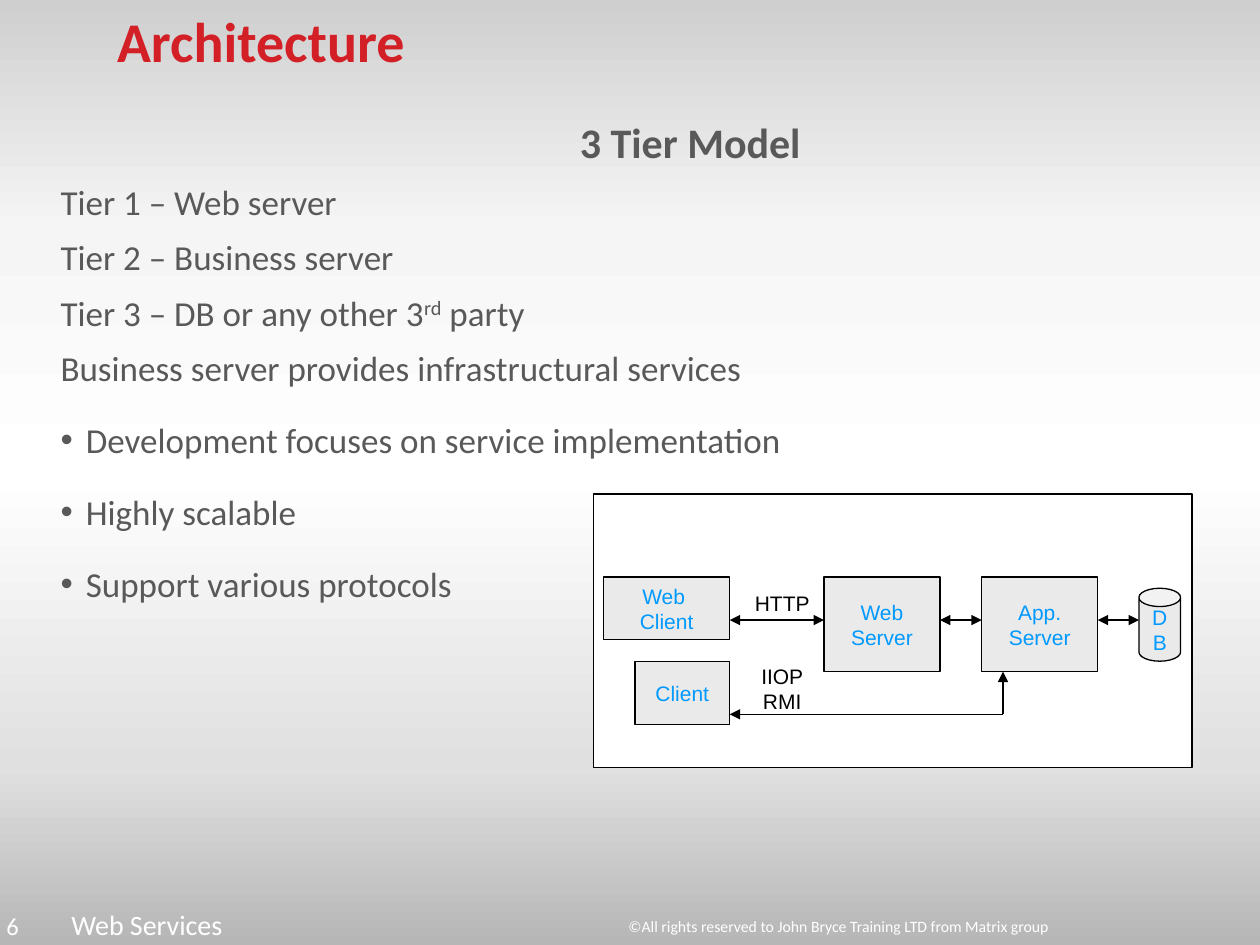
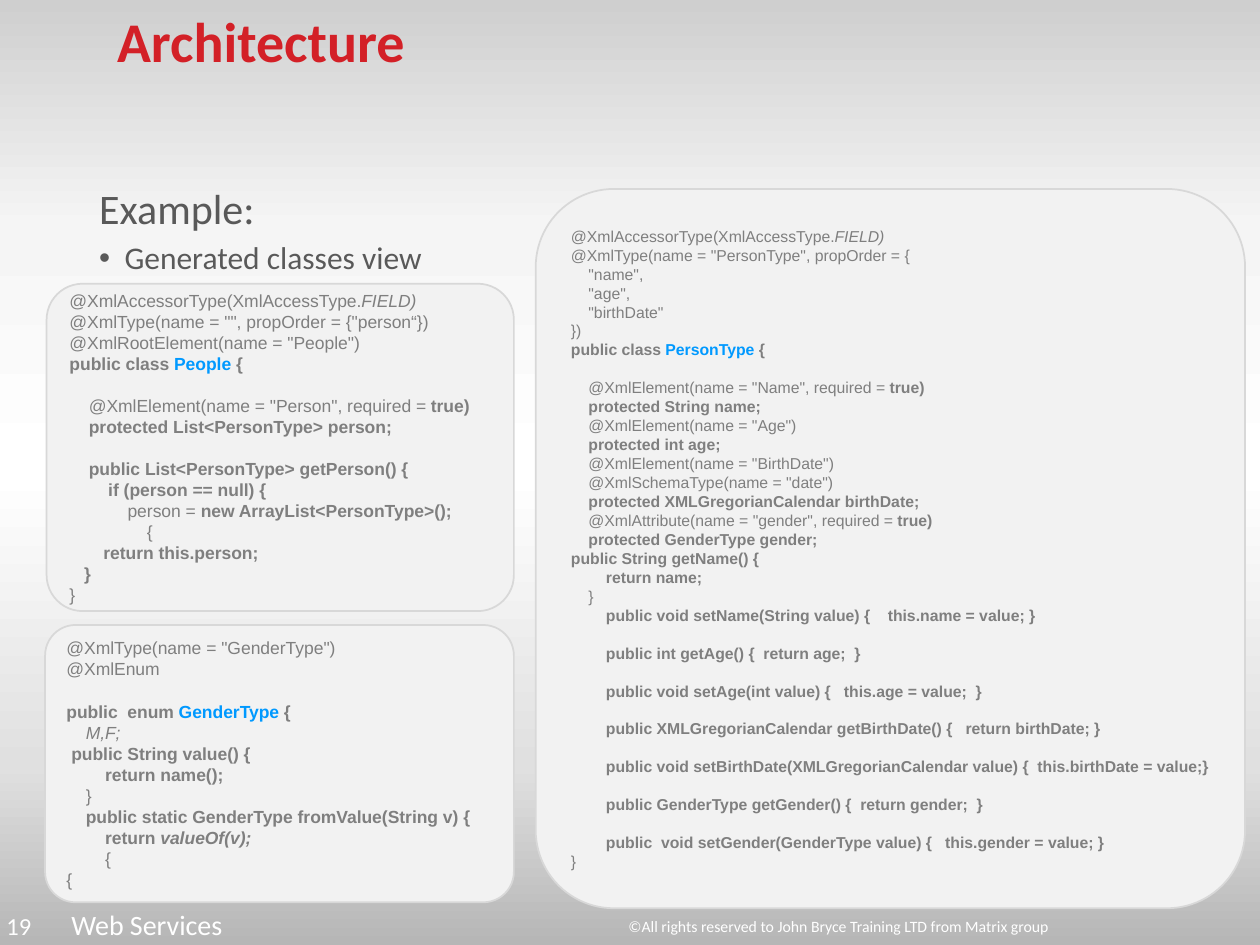
"""Build two slides on web service architecture: a three tier model and generated classes."""
import lxml.etree
import pptx
import pptx.dml.color
import pptx.enum.shapes
import pptx.enum.text
import pptx.oxml.ns
import pptx.util

Cm = pptx.util.Cm
Pt = pptx.util.Pt
qn = pptx.oxml.ns.qn
ALIGN = pptx.enum.text.PP_ALIGN
ANCHOR = pptx.enum.text.MSO_ANCHOR
SHAPE = pptx.enum.shapes.MSO_SHAPE

COLORS = {
    "title": "D32027", "body": "595959", "footer": "FFFFFF", "accent": "0099FF",
    "code": "7F7F7F", "code_fill": "F2F2F2", "code_line": "D8D8D8",
    "node": "EAEAEA", "panel": "FFFFFF", "line": "000000",
}
BACKGROUND_STOPS = {0: "CFCFCF", 24: "F5F5F5", 50: "FFFFFF", 81: "E0E0E0", 100: "B6B6B6"}
FRAME = {
    "word_wrap": True, "auto_size": pptx.enum.text.MSO_AUTO_SIZE.NONE,
    "margin_left": Cm(0.25), "margin_right": Cm(0.25),
    "margin_top": Cm(0.13), "margin_bottom": Cm(0.13),
}
TITLE_BOX = (2.11, -0.18, 21.89, 2.16)
BULLET_INDENT = Cm(0.51)

PEOPLE_CODE = """\
@XmlAccessorType(XmlAccessType.~FIELD)~
@XmlType(name = "", propOrder = {"person“})
@XmlRootElement(name = "People")
*public class ^People^ {*

    @XmlElement(name = "Person", required = *true)*
    *protected List<PersonType> person;*

    *public List<PersonType> getPerson() {*
        *if (person == null) {*
            person = *new ArrayList<PersonType>();*
                {
       *return this.person;*
   *}*
}"""
GENDER_CODE = """\
@XmlType(name = "GenderType")
@XmlEnum

*public  enum ^GenderType^ {*
    ~M,F;~
 *public String value() {*
        *return name();*
    }
    *public static GenderType fromValue(String v) {*
        *return ~valueOf(v);~*
        {
{"""
PERSON_FIELDS = """\
@XmlAccessorType(XmlAccessType.~FIELD)~
@XmlType(name = "PersonType", propOrder = {
    "name",
    "age",
    "birthDate"
})
*public class ^PersonType^ {*

    @XmlElement(name = "Name", required = *true)*
    *protected String name;*
    @XmlElement(name = "Age")
    *protected int age;*
    @XmlElement(name = "BirthDate")
    @XmlSchemaType(name = "date")
    *protected XMLGregorianCalendar birthDate;*
    @XmlAttribute(name = "gender", required = *true)*
    *protected GenderType gender;*"""
PERSON_METHODS = """\
*public String getName() {*
        *return name;*
    }
        *public void setName(String value) {    this.name = value; }*

        *public int getAge() {  return age;  }*

        *public void setAge(int value) {   this.age = value;  }*

        *public XMLGregorianCalendar getBirthDate() {   return birthDate; }*

        *public void setBirthDate(XMLGregorianCalendar value) {  this.birthDate = value;}*

        *public GenderType getGender() {  return gender;  }*

        *public  void setGender(GenderType value) {   this.gender = value; }*
}"""


def color(name):
    return pptx.dml.color.RGBColor.from_string(COLORS[name])


def apply_format(target, values):
    for name, value in values.items():
        setattr(target, name, value)


def place(shape, box):
    apply_format(shape, dict(zip(("left", "top", "width", "height"), map(Cm, box))))


def add_run(paragraph, text, size, color_name, font="Calibri", **values):
    run = paragraph.add_run()
    run.text = text
    apply_format(run.font, {"name": font, "size": Pt(size), "bold": False, **values})
    run.font.color.rgb = color(color_name)
    return run


def next_paragraph(frame):
    first = frame.paragraphs[0]
    return frame.add_paragraph() if first.runs else first


def add_lines(frame, lines, size, color_name, font="Calibri", **values):
    for line in lines:
        paragraph = next_paragraph(frame)
        apply_format(paragraph, values)
        add_run(paragraph, line, size, color_name, font)


def add_text_box(slide, box, lines, size, color_name, font="Calibri", frame_values=None, **values):
    frame = slide.shapes.add_textbox(*map(Cm, box)).text_frame
    apply_format(frame, {**FRAME, **(frame_values or {})})
    add_lines(frame, lines, size, color_name, font, **values)


def add_box(slide, kind, box, fill, line="line", line_width=0.75):
    shape = slide.shapes.add_shape(kind, *map(Cm, box))
    shape.shadow.inherit = False
    shape.fill.solid()
    shape.fill.fore_color.rgb = color(fill)
    shape.line.color.rgb = color(line)
    shape.line.width = Pt(line_width)
    apply_format(shape.text_frame, {**FRAME, "vertical_anchor": ANCHOR.MIDDLE})
    return shape


def add_node(slide, box, lines, kind=SHAPE.RECTANGLE):
    shape = add_box(slide, kind, box, "node")
    add_lines(shape.text_frame, lines, 12, "accent", "Arial", alignment=ALIGN.CENTER)
    return shape


def add_label(slide, box, lines):
    add_text_box(slide, box, lines, 12, "line", "Arial",
                 {"vertical_anchor": ANCHOR.MIDDLE}, alignment=ALIGN.CENTER)


def add_arrow(slide, start, end, ends=("headEnd", "tailEnd")):
    straight = pptx.enum.shapes.MSO_CONNECTOR.STRAIGHT
    connector = slide.shapes.add_connector(straight, *map(Cm, start + end))
    connector.line.color.rgb = color("line")
    connector.line.width = Pt(0.75)
    properties = connector._element.spPr
    for end_name in ends:
        lxml.etree.SubElement(properties.find(qn("a:ln")), qn(f"a:{end_name}"), type="triangle")
    lxml.etree.SubElement(properties, qn("a:effectLst"))


def add_code_line(paragraph, line, size):
    paragraph.alignment = ALIGN.LEFT
    if not line:
        lxml.etree.SubElement(paragraph._p, qn("a:endParaRPr"), sz=str(size * 100))
    active, text = set(), ""
    for character in line + "\n":
        if character not in "*~^\n":
            text += character
            continue
        if text:
            add_run(paragraph, text, size, "accent" if "^" in active else "code", "Arial",
                    bold="*" in active, italic="~" in active)
        active, text = active ^ {character}, ""


def add_code(slide, box, size, *blocks):
    shape = add_box(slide, SHAPE.ROUNDED_RECTANGLE, box, "code_fill", "code_line", 1)
    shape.adjustments[0] = 0.11
    shape.text_frame.margin_right = Cm(0.1)
    for block in blocks:
        for line in block.split("\n"):
            add_code_line(next_paragraph(shape.text_frame), line, size)


def add_body_paragraph(frame, text, size, indent=0, before=0, **values):
    paragraph = next_paragraph(frame)
    apply_format(paragraph, {"space_before": Pt(before), "line_spacing": 0.9})
    properties = paragraph._p.get_or_add_pPr()
    properties.set("marL", str(Cm(indent)))
    properties.set("indent", "0")
    lxml.etree.SubElement(properties, qn("a:buNone"))
    add_run(paragraph, text, size, "body", **values)
    return paragraph


def add_bullet(frame, text, size, spacing):
    paragraph = frame.add_paragraph()
    apply_format(paragraph, {"level": 1, "space_before": Pt(5), "line_spacing": spacing})
    properties = paragraph._p.get_or_add_pPr()
    properties.set("marL", str(BULLET_INDENT))
    properties.set("indent", str(-BULLET_INDENT))
    bullet_color = lxml.etree.SubElement(properties, qn("a:buClr"))
    lxml.etree.SubElement(bullet_color, qn("a:srgbClr"), val=COLORS["body"])
    lxml.etree.SubElement(properties, qn("a:buFont"), typeface="Arial")
    lxml.etree.SubElement(properties, qn("a:buChar"), char="•")
    add_run(paragraph, text, size, "body")


def set_background(master):
    fill = master.background.fill
    fill.gradient()
    fill.gradient_angle = 270
    stops = master.element.find(".//" + qn("p:bg")).find(".//" + qn("a:gsLst"))
    stops.clear()
    for position, value in BACKGROUND_STOPS.items():
        stop = lxml.etree.SubElement(stops, qn("a:gs"), pos=str(position * 1000))
        lxml.etree.SubElement(stop, qn("a:srgbClr"), val=value)


def add_slide(presentation, number, body_box):
    slide = presentation.slides.add_slide(presentation.slide_layouts[1])
    title, body = slide.shapes.title, slide.placeholders[1]
    place(title, TITLE_BOX)
    apply_format(title.text_frame, {**FRAME, "vertical_anchor": ANCHOR.MIDDLE})
    paragraph = title.text_frame.paragraphs[0]
    apply_format(paragraph, {"alignment": ALIGN.LEFT, "line_spacing": 0.9})
    add_run(paragraph, "Architecture", 32, "title", bold=True)
    place(body, body_box)
    apply_format(body.text_frame, {**FRAME, "vertical_anchor": ANCHOR.TOP})
    add_text_box(slide, (12.42, 18.36, 9.04, 0.64),
                 ["©All rights reserved to John Bryce Training LTD from Matrix group"], 9, "footer")
    add_text_box(slide, (1.19, 18.29, 10, 0.76), ["Web Services"], 16, "footer",
                 frame_values={"vertical_anchor": ANCHOR.MIDDLE}, line_spacing=0.9)
    add_text_box(slide, (0, 18.24, 1.7, 0.81), [str(number)], 14, "footer",
                 frame_values={"margin_left": Cm(0.13)})
    return slide, body.text_frame


def add_tier_diagram(slide):
    add_box(slide, SHAPE.RECTANGLE, (11.96, 9.96, 12.07, 5.51), "panel")
    add_node(slide, (12.17, 11.63, 2.54, 1.27), ["Web ", "Client"])
    add_node(slide, (12.8, 13.34, 1.91, 1.27), ["Client"])
    add_node(slide, (16.61, 11.63, 2.34, 1.91), ["Web", "Server"])
    add_node(slide, (19.79, 11.63, 2.34, 1.91), ["App.", "Server"])
    database = add_node(slide, (22.96, 11.86, 0.84, 1.47), ["DB"], SHAPE.CAN)
    database.adjustments[0] = 0.44
    for left, right in ((14.71, 16.61), (18.95, 19.79), (22.13, 22.96)):
        add_arrow(slide, (right, 12.5), (left, 12.5))
    corner = (20.22, 14.4)
    for target in ((14.71, 14.4), (20.22, 13.54)):
        add_arrow(slide, corner, target, ["tailEnd"])
    add_label(slide, (14.57, 11.7, 2.4, 0.9), ["HTTP"])
    add_label(slide, (14.57, 13.29, 2.4, 1.2), ["IIOP", "RMI"])


def build_tier_slide(presentation):
    slide, frame = add_slide(presentation, 6, (0.97, 2.34, 22.86, 13.54))
    add_body_paragraph(frame, "3 Tier Model", 24, indent=10.47, bold=True)
    for text in ("Tier 1 – Web server", "Tier 2 – Business server"):
        add_body_paragraph(frame, text, 20, before=10)
    third_tier = add_body_paragraph(frame, "Tier 3 – DB or any other 3", 20, before=10)
    ordinal = add_run(third_tier, "rd", 20, "body")
    ordinal._r.get_or_add_rPr().set("baseline", "30000")
    add_run(third_tier, " party", 20, "body")
    add_body_paragraph(frame, "Business server provides infrastructural services", 20, before=10)
    for text in ("Development focuses on service implementation", "Highly scalable",
                 "Support various protocols"):
        add_bullet(frame, text, 20, 1.5)
    add_tier_diagram(slide)


def build_classes_slide(presentation):
    slide, frame = add_slide(presentation, 19, (1.75, 3.66, 21.89, 12.09))
    add_body_paragraph(frame, "Example:", 24)
    add_bullet(frame, "Generated classes view", 18, 0.9)
    add_code(slide, (0.94, 5.72, 9.42, 6.6), 10, PEOPLE_CODE)
    add_code(slide, (10.8, 3.81, 14.3, 14.5), 9, PERSON_FIELDS, PERSON_METHODS)
    add_code(slide, (0.91, 12.6, 9.45, 5.59), 10, GENDER_CODE)


def main():
    presentation = pptx.Presentation()
    apply_format(presentation, {"slide_width": Cm(25.4), "slide_height": Cm(19.05)})
    set_background(presentation.slide_master)
    build_tier_slide(presentation)
    build_classes_slide(presentation)
    presentation.save("out.pptx")


if __name__ == "__main__":
    main()
